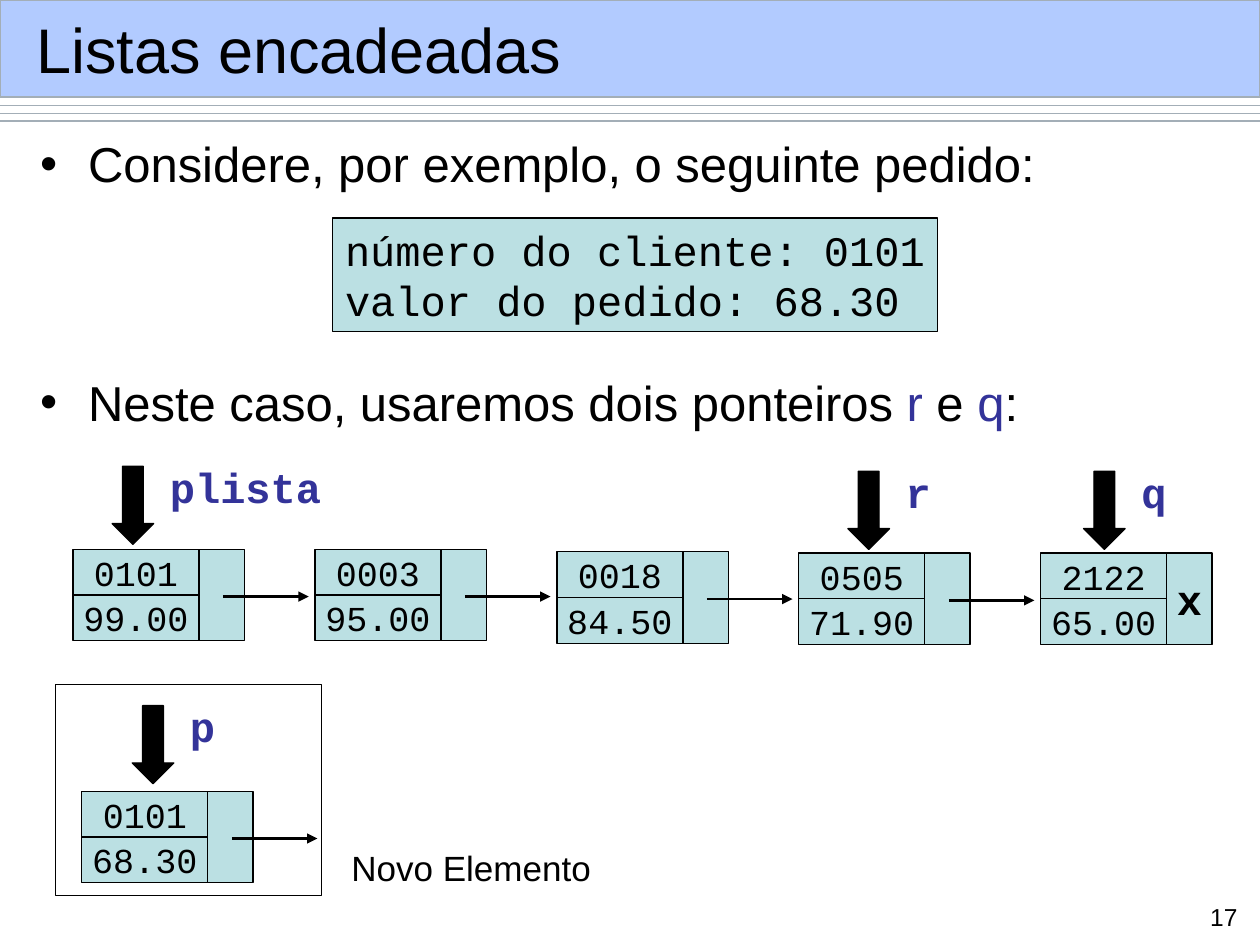
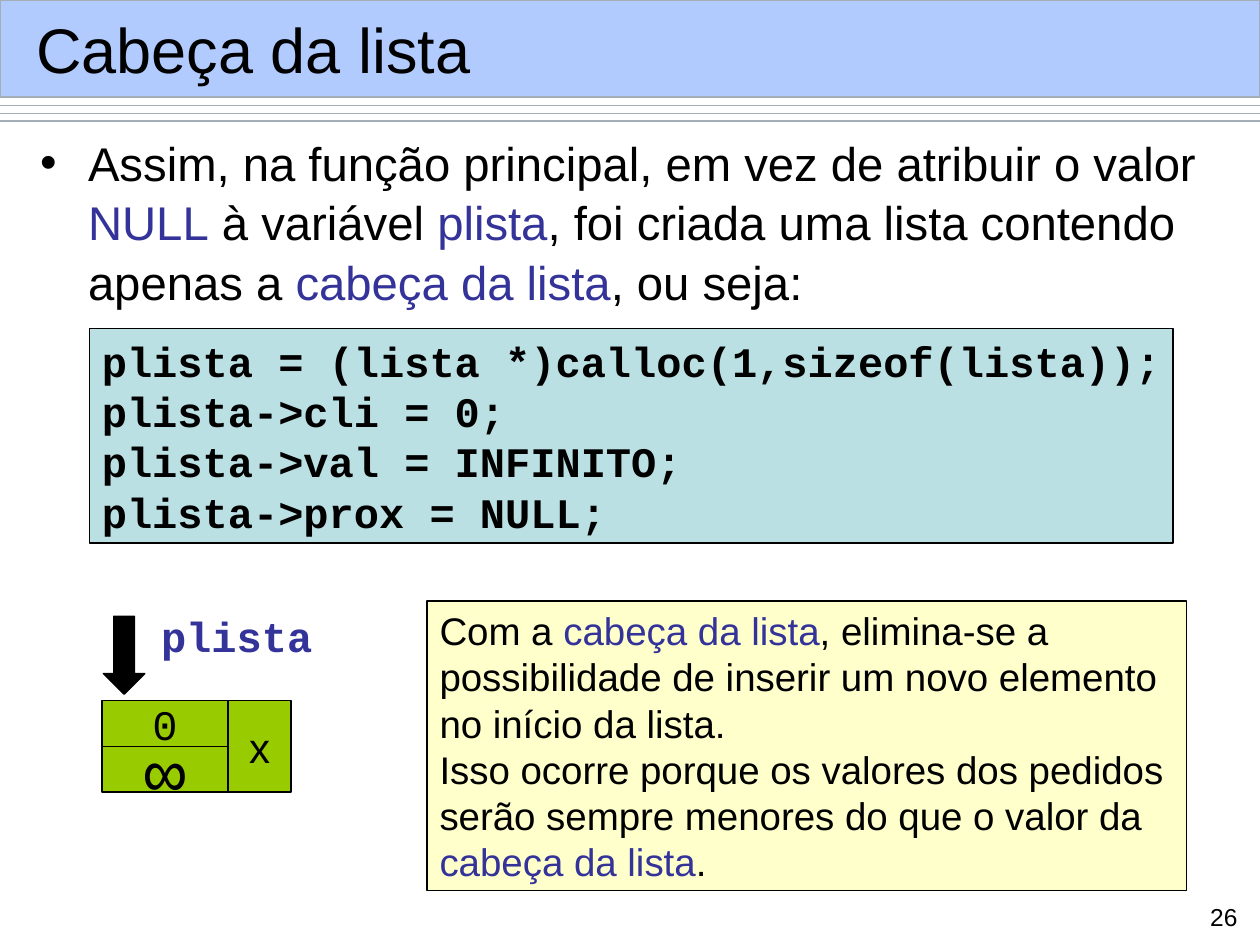
from lxml.etree import SubElement
from pptx import Presentation
from pptx.dml.color import RGBColor
from pptx.enum.shapes import MSO_CONNECTOR as Connector, MSO_SHAPE as Shape
from pptx.enum.text import MSO_ANCHOR as Anchor, PP_ALIGN as Align
from pptx.oxml.ns import qn
from pptx.util import Inches, Pt

# Shared look
BLACK, WHITE, ACCENT = "000000", "FFFFFF", "333399"
BAND, RULE = "6699FF", "A3AEB7"
CYAN, GREEN, YELLOW = "BBE0E3", "99CC00", "FFFFCC"
SANS, MONO = "Arial", "Courier New"

presentation = Presentation()
presentation.slide_width, presentation.slide_height = Inches(10), Inches(7.5)

# Grid of 100 columns by 75 rows; every place and size counts in its cells
COLUMN = presentation.slide_width / 100
ROW = presentation.slide_height / 75


def color(value):
    return RGBColor.from_string(value)


def add_box(slide, at, text="", kind=Shape.RECTANGLE, fill=None, line=BLACK,
            size=20, font=SANS, ink=BLACK, bold=False, align=Align.LEFT,
            anchor=Anchor.TOP, wrap=False, bullet=False, spacing=None, gap=0):
    """Add a filled shape, or a text box if fill is None; |bars| mark accents."""
    left, top, width, height = at
    place = [round(n) for n in (left * COLUMN, top * ROW, width * COLUMN, height * ROW)]
    if fill:
        shape = slide.shapes.add_shape(kind, *place)
        shape.shadow.inherit = False
        shape.fill.solid()
        shape.fill.fore_color.rgb = color(fill)
        shape.line.color.rgb = color(line)
        shape.line.width = Pt(0.75)
    else:
        shape = slide.shapes.add_textbox(*place)
    if not text:
        return shape

    frame = shape.text_frame
    frame.word_wrap, frame.vertical_anchor = wrap, anchor
    for index, line_text in enumerate(text.split("\n")):
        paragraph = frame.paragraphs[0] if index == 0 else frame.add_paragraph()
        paragraph.alignment = align
        if spacing:
            paragraph.line_spacing = spacing
        if index:
            paragraph.space_before = Pt(gap)
        if bullet:
            properties = paragraph._p.get_or_add_pPr()
            properties.set("marL", str(Inches(0.38)))
            properties.set("indent", str(-Inches(0.38)))
            SubElement(properties, qn("a:buFont"), typeface=SANS)
            SubElement(properties, qn("a:buChar"), char="•")
        for part, words in enumerate(line_text.split("|")):
            if words:
                run = paragraph.add_run()
                run.text = words
                run.font.name, run.font.size, run.font.bold = font, Pt(size), bold
                run.font.color.rgb = color(ACCENT if part % 2 else ink)
    return shape


# Title, band, body and number of each slide
pages = [
    ("Listas encadeadas", "17", 28,
     "Considere, por exemplo, o seguinte pedido:\n"
     "Neste caso, usaremos dois ponteiros |r| e |q|:"),
    ("Cabeça da lista", "26", 27,
     "Assim, na função principal, em vez de atribuir o valor |NULL| à variável "
     "|plista|, foi criada uma lista contendo apenas a |cabeça da lista|, ou seja:"),
]
slides, lines = [], []
for title, number, body_size, body in pages:
    slide = presentation.slides.add_slide(presentation.slide_layouts[6])
    slides.append(slide)
    band = add_box(slide, (0, 0, 100, 7.7), fill=BAND, line=RULE)
    band_color = band.fill._xPr.find(qn("a:solidFill"))[0]
    SubElement(band_color, qn("a:alpha"), val="50000")
    for step in range(3):
        lines.append((slide, 0, 100, 8.4 + 0.6 * step, RULE, 0.75, False))
    add_box(slide, (2.2, 9.9, 96.8, 62.4), body, size=body_size, wrap=True,
            bullet=True, spacing=1.05, gap=101)
    add_box(slide, (1.9, 0.9, 96.4, 5.9), title, size=36, wrap=True, anchor=Anchor.MIDDLE)
    add_box(slide, (94.7, 71.1, 4.5, 3.1), number, size=14, wrap=True, align=Align.RIGHT)
linked, head = slides

# Boxed texts
add_box(linked, (26.4, 17.3, 48, 9), "número do cliente: 0101\nvalor do pedido: 68.30",
        fill=CYAN, size=24, font=MONO)
add_box(linked, (4.4, 54.3, 21.1, 16.8), fill=WHITE)
add_box(linked, (26.9, 66.7, 21, 4.4), "Novo Elemento")
add_box(head, (7.1, 26.1, 86, 17),
        "plista = (lista *)calloc(1,sizeof(lista));\nplista->cli = 0;\n"
        "plista->val = INFINITO;\nplista->prox = NULL;",
        fill=CYAN, size=24, font=MONO, bold=True)
add_box(head, (33.9, 47.7, 60.3, 23),
        "Com a |cabeça da lista|, elimina-se a\n"
        "possibilidade de inserir um novo elemento\nno início da lista.\n"
        "Isso ocorre porque os valores dos pedidos\n"
        "serão sempre menores do que o valor da\n|cabeça da lista|.",
        fill=YELLOW, size=22)

# List nodes: client over value, then the link cell
FIELD, HALF, LINK = 10, 3.63, 3.6
chain = [("0101", "99.00", 43.6), ("0003", "95.00", 43.6), ("0018", "84.50", 43.8),
         ("0505", "71.90", 43.9), ("2122", "65.00", 43.9)]
nodes = [(5.8 + 19.2 * index, top, client, value)
         for index, (client, value, top) in enumerate(chain)]
nodes.append((6.5, 62.8, "0101", "68.30"))
centered = {"align": Align.CENTER, "anchor": Anchor.MIDDLE}
for left, top, client, value in nodes:
    last = client == "2122"
    for row, text in enumerate((client, value)):
        add_box(linked, (left, top + HALF * row, FIELD, HALF), text,
                fill=CYAN, font=MONO, **centered)
    add_box(linked, (left + FIELD, top, LINK, 2 * HALF), "x" if last else "",
            fill=CYAN, size=24, font=MONO, bold=True, **centered)
    if not last:
        lines.append((linked, left + 11.9, left + 18.7, top + 3.75, BLACK, 1.5, True))

# Head node
for at, text, size, font in [((8.1, 55.6, FIELD, HALF), "0", 24, MONO),
                             ((8.1, 55.6 + HALF, FIELD, HALF), "∞", 40, MONO),
                             ((18.1, 55.6, 5, 2 * HALF), "x", 24, SANS)]:
    add_box(head, at, text, fill=GREEN, size=size, font=font, **centered)

# Pointers: block arrow with its name beside it
for slide, left, top, name in [(linked, 8.9, 37, "plista"), (linked, 67.3, 37.4, "r"),
                               (linked, 86, 37.4, "q"), (linked, 10.5, 56, "p"),
                               (head, 8.2, 48.9, "plista")]:
    add_box(slide, (left, top, 3.3, 6.2), kind=Shape.DOWN_ARROW, fill=BLACK)
    add_box(slide, (left + 3.6, top - 0.9, 2 + 2 * len(name), 5), name,
            size=24, font=MONO, ink=ACCENT, bold=True)

# Rules under the band and arrows between nodes
for slide, start, end, y, ink, weight, arrow in lines:
    connector = slide.shapes.add_connector(
        Connector.STRAIGHT, *[round(n) for n in (start * COLUMN, y * ROW, end * COLUMN, y * ROW)])
    connector.line.color.rgb = color(ink)
    connector.line.width = Pt(weight)
    if arrow:
        SubElement(connector.line._get_or_add_ln(), qn("a:tailEnd"), type="triangle")
    SubElement(connector._element.spPr, qn("a:effectLst"))

presentation.save("out.pptx")
